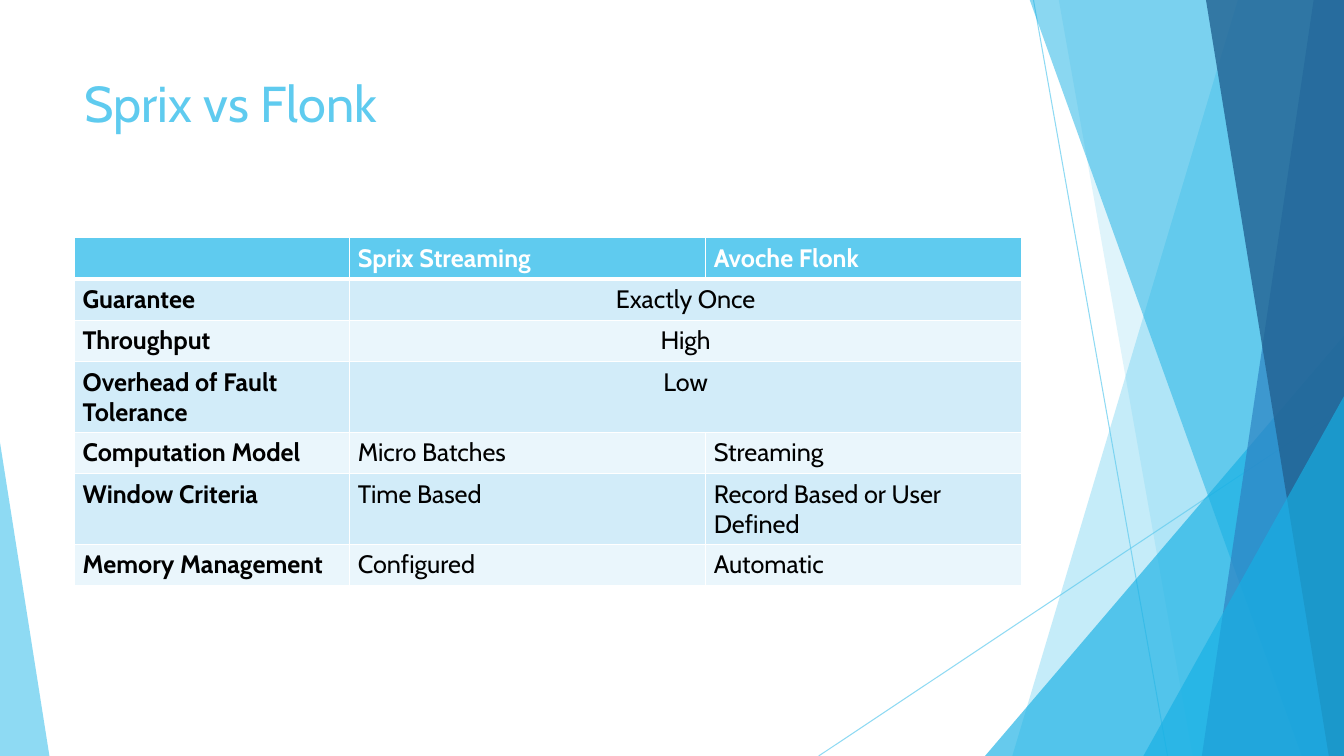
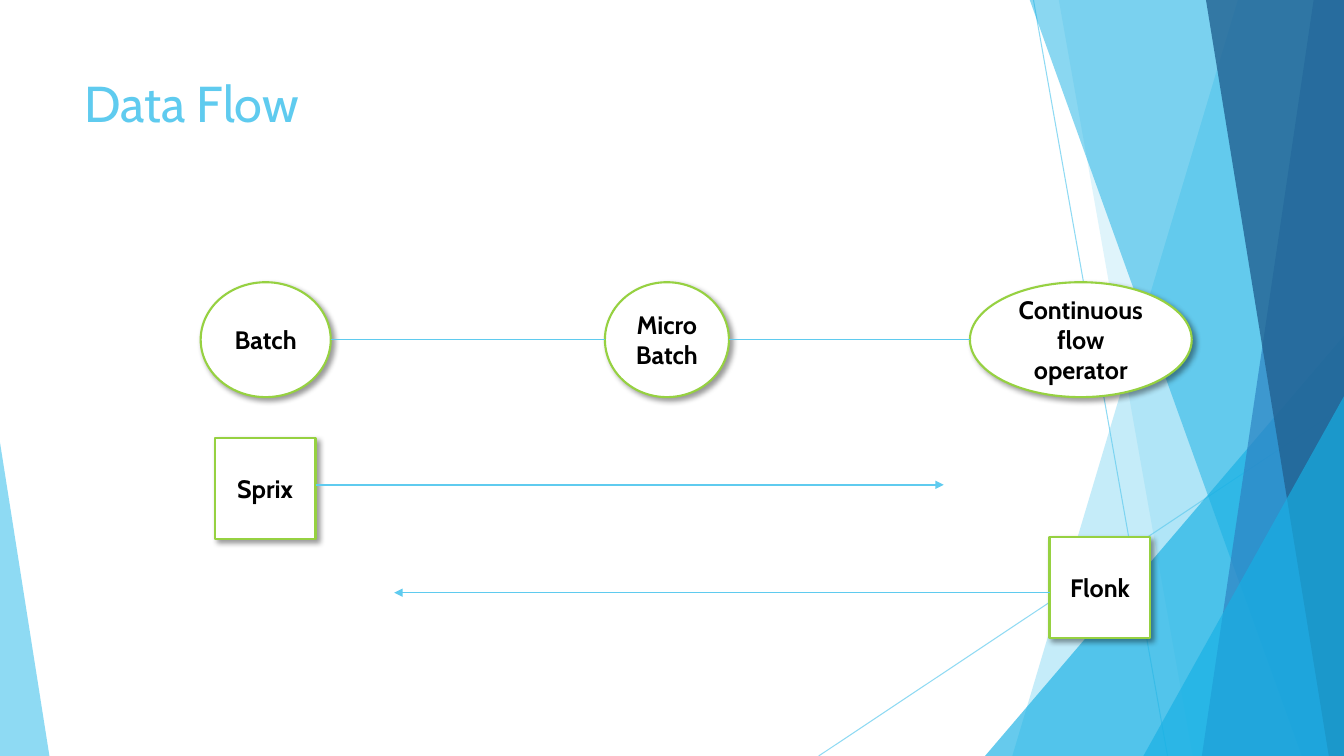
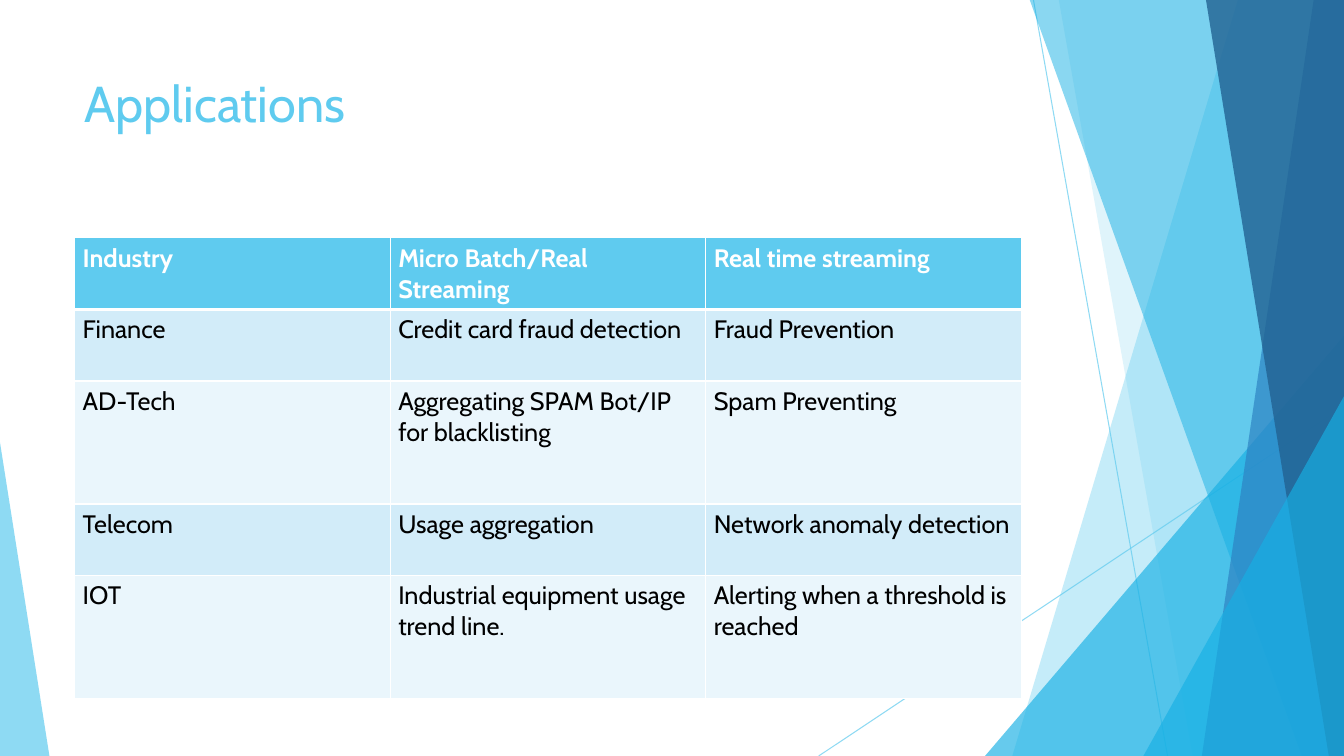
"""Build three slides comparing Sprix and Flonk."""
from lxml import etree
from pptx import Presentation
from pptx import util as u
from pptx.dml.color import RGBColor
from pptx.enum import shapes, text
from pptx.oxml.ns import qn

SKY = RGBColor(0x5F, 0xCB, 0xEF)
CYAN = RGBColor(0x17, 0xB0, 0xE4)
BLUE = RGBColor(0x2E, 0x83, 0xC3)
NAVY = RGBColor(0x22, 0x62, 0x92)
LIME = RGBColor(0x96, 0xD1, 0x41)
MIST = RGBColor(0xD2, 0xEC, 0xF9)
FROST = RGBColor(0xEA, 0xF6, 0xFC)
WHITE = RGBColor(0xFF, 0xFF, 0xFF)
BLACK = RGBColor(0, 0, 0)

WIDE, HIGH, BLEED = 13.33, 7.5, -0.01
LEFT, CONTENT_WIDE, TITLE_TOP, TITLE_HIGH, TABLE_TOP = 0.74, 9.4, 0.67, 1.44, 2.36
TITLE_FONT = {"name": "Cabin", "size": u.Pt(36), "bold": False}
BODY_FONT = {"name": "Cabin", "size": u.Pt(18), "bold": False}
BOLD_FONT = {**BODY_FONT, "bold": True}
CELL_FORMAT = {"margin_left": u.Inches(0.08), "margin_right": u.Inches(0.08),
               "margin_top": u.Inches(0.05), "margin_bottom": u.Inches(0.05)}
SHADOW = {"blurRad": u.Pt(4), "dist": u.Pt(3), "dir": 45 * 60000, "rotWithShape": 0}

RAYS = [((10.25, 0), (11.58, HIGH)), ((WIDE, 4.03), (8.12, HIGH))]
BACKDROP = [
    ("band", (12.28, 10.04), SKY, 36),
    ("band", (10.5, 11.83), SKY, 20),
    ("wedge", (9.77, 3.33, 3.56, 1), CYAN, 66),
    ("band", (10.21, 12.91), CYAN, 50),
    ("band", (13.03, 11.92), BLUE, 70),
    ("band", (11.96, 13.18), NAVY, 80),
    ("wedge", (11.34, 3.93, 1.99, 1), CYAN, 66),
    ("wedge", (0, 4.39, 0.49, 0), SKY, 70),
]

COMPARISON = {
    "columns": (2.73, 3.53, 3.13),
    "heights": (0.41,) * 7,
    "bold_first": True,
    "rows": [
        ("", "Sprix Streaming", "Avoche Flonk"),
        ("Guarantee", "Exactly Once"),
        ("Throughput", "High"),
        ("Overhead of Fault Tolerance", "Low"),
        ("Computation Model", "Micro Batches", "Streaming"),
        ("Window Criteria", "Time Based", "Record Based or User Defined"),
        ("Memory Management", "Configured", "Automatic"),
    ],
}
APPLICATIONS = {
    "columns": (3.13,) * 3,
    "heights": (0.71, 0.71, 1.22, 0.71, 1.22),
    "bold_first": False,
    "rows": [
        ("Industry", "Micro Batch/Real Streaming", "Real time streaming"),
        ("Finance", "Credit card fraud detection", "Fraud Prevention"),
        ("AD-Tech", "Aggregating SPAM Bot/IP for blacklisting", "Spam Preventing"),
        ("Telecom", "Usage aggregation", "Network anomaly detection"),
        ("IOT", "Industrial equipment usage trend line.", "Alerting when a threshold is reached"),
    ],
}
STAGE_TOP, STAGE_HIGH, ENGINE_SIDE = 2.8, 1.14, 1
STAGES = [("Batch", 1.99, 1.29), ("Micro Batch", 6, 1.23), ("Continuous flow operator", 9.62, 2.2)]
ENGINES = [("Sprix", 2.13, 4.35, 3.13, 9.36, 4.81), ("Flonk", 10.41, 5.33, 10.41, 3.91, 5.88)]


def inches(*lengths):
    return [u.Inches(length) for length in lengths]


def apply(target, values):
    for key, value in values.items():
        setattr(target, key, value)


def add_node(parent, tag, **values):
    return etree.SubElement(parent, qn(tag), {key: str(value) for key, value in values.items()})


def set_alpha(item, percent):
    for color in item._element.spPr.iter(qn("a:srgbClr")):
        add_node(color, "a:alpha", val=percent * 1000)


def write(frame, words, font, color, align=text.PP_ALIGN.LEFT):
    paragraph = frame.paragraphs[0]
    paragraph.alignment = align
    run = paragraph.add_run()
    run.text = words
    apply(run.font, font)
    run.font.color.rgb = color


def add_line(slide, start, end, points, arrow=False):
    line = slide.shapes.add_connector(shapes.MSO_CONNECTOR.STRAIGHT, *inches(*start, *end))
    line.line.color.rgb = SKY
    line.line.width = u.Pt(points)
    if arrow:
        add_node(line.line._get_or_add_ln(), "a:tailEnd", type="triangle")
    add_node(line._element.spPr, "a:effectLst")
    return line


def add_band(slide, top_x, bottom_x):
    corners = [(top_x, BLEED), (WIDE, BLEED), (WIDE, HIGH), (bottom_x, HIGH)]
    first, *others = [inches(*corner) for corner in corners]
    outline = slide.shapes.build_freeform(*first)
    outline.add_line_segments(others, close=True)
    return outline.convert_to_shape()


def add_wedge(slide, left, top, width, apex):
    wedge = slide.shapes.add_shape(shapes.MSO_SHAPE.ISOSCELES_TRIANGLE,
                                   *inches(left, top, width, HIGH - top))
    wedge.adjustments[0] = apex
    return wedge


def add_slide(deck, title):
    slide = deck.slides.add_slide(deck.slide_layouts[6])
    for start, end in RAYS:
        set_alpha(add_line(slide, start, end, 0.75), 70)
    for kind, place, color, alpha in BACKDROP:
        panel = (add_band if kind == "band" else add_wedge)(slide, *place)
        panel.shadow.inherit = False
        panel.fill.solid()
        panel.fill.fore_color.rgb = color
        panel.line.fill.background()
        set_alpha(panel, alpha)
    heading = slide.shapes.add_textbox(*inches(LEFT, TITLE_TOP, CONTENT_WIDE, TITLE_HIGH))
    heading.text_frame.word_wrap = True
    write(heading.text_frame, title, TITLE_FONT, SKY)
    return slide


def add_borders(cell, top, bottom):
    properties = cell._tc.get_or_add_tcPr()
    for side, points in zip("LRTB", (1, 1, top, bottom)):
        border = add_node(properties, f"a:ln{side}", w=u.Pt(points))
        add_node(add_node(border, "a:solidFill"), "a:srgbClr", val=WHITE)


def add_grid(slide, content):
    columns, heights, rows = content["columns"], content["heights"], content["rows"]
    grid = slide.shapes.add_table(len(rows), len(columns), *inches(
        LEFT, TABLE_TOP, sum(columns), sum(heights))).table
    grid.horz_banding = False
    for column, width in zip(grid.columns, columns):
        column.width = u.Inches(width)
    for row, height in zip(grid.rows, heights):
        row.height = u.Inches(height)
    for r, words in enumerate(rows):
        for c in range(len(columns)):
            cell = grid.cell(r, c)
            apply(cell, CELL_FORMAT)
            add_borders(cell, top=3 if r == 1 else 1, bottom=3 if r == 0 else 1)
            cell.fill.solid()
            cell.fill.fore_color.rgb = SKY if r == 0 else (FROST, MIST)[r % 2]
        shared = len(words) < len(columns)
        if shared:
            grid.cell(r, 1).merge(grid.cell(r, len(columns) - 1))
        for c, phrase in enumerate(words):
            if phrase:
                bold = r == 0 or (c == 0 and content["bold_first"])
                write(grid.cell(r, c).text_frame, phrase, BOLD_FONT if bold else BODY_FONT,
                      WHITE if r == 0 else BLACK,
                      text.PP_ALIGN.CENTER if shared and c else text.PP_ALIGN.LEFT)


def add_block(slide, preset, label, *place):
    block = slide.shapes.add_shape(preset, *inches(*place))
    block.shadow.inherit = False
    block.fill.solid()
    block.fill.fore_color.rgb = WHITE
    block.line.color.rgb = LIME
    block.line.width = u.Pt(1.5)
    shade = add_node(block._element.spPr.find(qn("a:effectLst")), "a:outerShdw", **SHADOW)
    add_node(add_node(shade, "a:srgbClr", val=BLACK), "a:alpha", val=40000)
    block.text_frame.vertical_anchor = text.MSO_ANCHOR.MIDDLE
    write(block.text_frame, label, BOLD_FONT, BLACK, text.PP_ALIGN.CENTER)


def add_flow(slide):
    for label, left, width in STAGES:
        add_block(slide, shapes.MSO_SHAPE.OVAL, label, left, STAGE_TOP, width, STAGE_HIGH)
    middle = STAGE_TOP + STAGE_HIGH / 2
    for (_, left, width), (_, following, _) in zip(STAGES, STAGES[1:]):
        add_line(slide, (left + width, middle), (following, middle), 1)
    for label, left, top, start, end, level in ENGINES:
        add_block(slide, shapes.MSO_SHAPE.RECTANGLE, label, left, top, ENGINE_SIDE, ENGINE_SIDE)
        add_line(slide, (start, level), (end, level), 1, arrow=True)


deck = Presentation()
apply(deck, {"slide_width": u.Inches(WIDE), "slide_height": u.Inches(HIGH)})
add_grid(add_slide(deck, "Sprix vs Flonk"), COMPARISON)
add_flow(add_slide(deck, "Data Flow"))
add_grid(add_slide(deck, "Applications"), APPLICATIONS)
deck.save("out.pptx")
